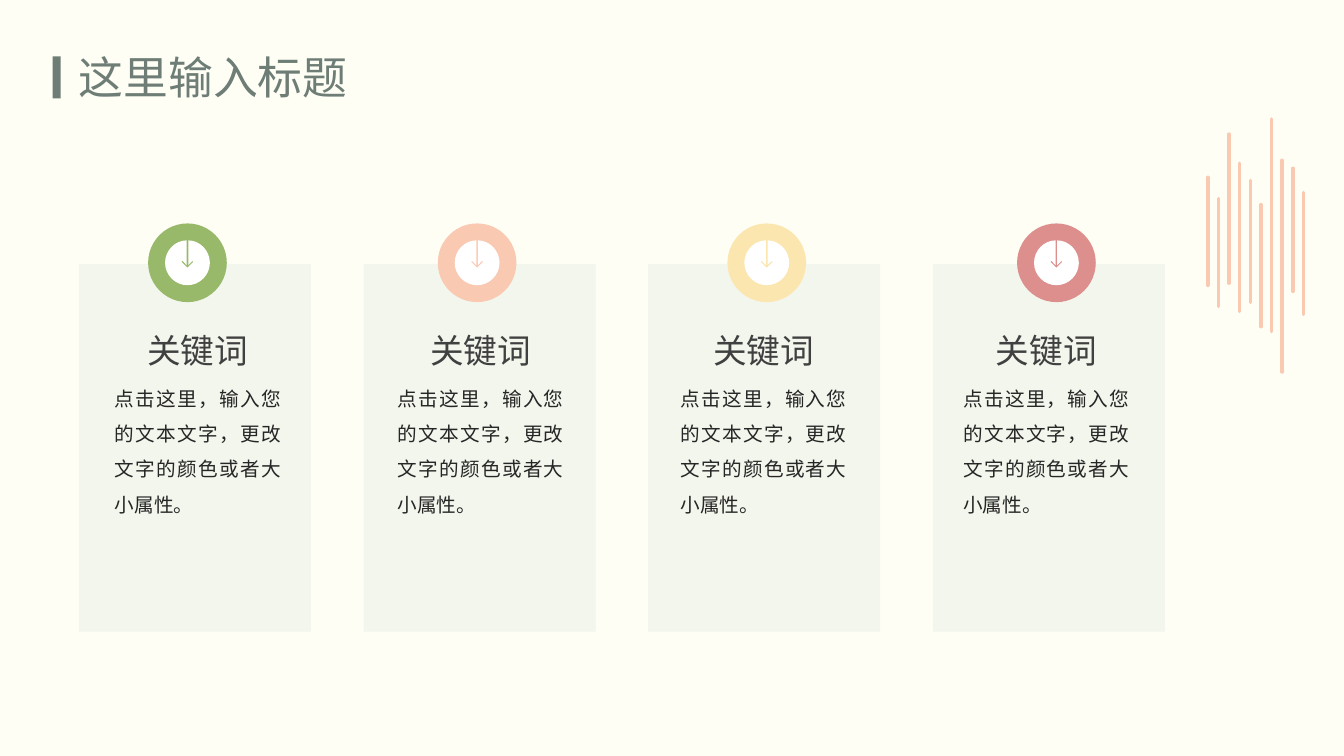
from pptx import Presentation
from pptx.dml.color import RGBColor
from pptx.enum.shapes import MSO_CONNECTOR, MSO_SHAPE
from pptx.enum.text import MSO_ANCHOR, MSO_AUTO_SIZE, PP_ALIGN
from pptx.oxml.ns import qn
from pptx.util import Pt
from lxml import etree

RECTANGLE = MSO_SHAPE.RECTANGLE
OVAL = MSO_SHAPE.OVAL
STRAIGHT = MSO_CONNECTOR.STRAIGHT
TOP = MSO_ANCHOR.TOP
CENTER = PP_ALIGN.CENTER
JUSTIFY = PP_ALIGN.JUSTIFY
NO_AUTOFIT = MSO_AUTO_SIZE.NONE

COLORS = {
    "background": "FEFEF5", "title": "6E7D75", "card": "C8D7D0",
    "heading": "404040", "body": "262626", "wave": "F9C9B2", "white": "FFFFFF",
    "green": "98B86A", "peach": "F9C9B2", "yellow": "FCE6AF", "rose": "DD8F8D",
}
BADGES = ["green", "peach", "yellow", "rose"]
HEADING = "关键词"
BODY = "点击这里，输入您的文本文字，更改文字的颜色或者大小属性。"
WAVES = [(126.7, 203.8), (141.8, 218.9), (95.8, 202.3), (116.6, 222.5),
         (128.9, 216), (146.2, 233.3), (85, 236.9), (114.5, 265.7),
         (120.2, 208.1), (137.5, 224.6)]
WAVE_LEFT, WAVE_STEP = 862.7, 7.6
CARD_LEFT, CARD_STEP = 56.4, 203.33
BADGE_LEFT, BADGE_STEP = 105.8, 206.9
TEXT_LEFT, TEXT_STEP = 82, 202.05
TEXT_WIDTH = 118.6
BADGE_TOP, BADGE_SIZE = 159.6, 56.2
DISC_RADIUS = 16
ARC_HANDLE = 0.55 * DISC_RADIUS
ARROW_HALF = [(0.6, 1.7), (3.6, -1.4), (4.3, -0.7)]
ARROW_TIP = (0, 3.6)


def color(name):
    return RGBColor.from_string(COLORS[name])


def paint(shape, fill):
    shape.shadow.inherit = False
    shape.fill.solid()
    shape.fill.fore_color.rgb = color(fill)
    shape.line.fill.background()


def add_block(page, kind, area, fill, opacity=100):
    shape = page.shapes.add_shape(kind, *map(Pt, area))
    paint(shape, fill)
    if opacity < 100:
        tint = shape.element.spPr.find(qn("a:solidFill"))[0]
        etree.SubElement(tint, qn("a:alpha")).set("val", str(opacity * 1000))


def add_wave(page, x, top, bottom):
    wave = page.shapes.add_connector(STRAIGHT, Pt(x), Pt(top), Pt(x), Pt(bottom))
    wave.line.color.rgb = color("wave")
    wave.line.width = Pt(2.5)
    properties = wave.element.spPr
    properties.find(qn("a:ln")).set("cap", "rnd")
    etree.SubElement(properties, qn("a:effectLst"))


def bend(segment, handles):
    segment.tag = qn("a:cubicBezTo")
    for place, (x, y) in enumerate(handles):
        point = etree.Element(qn("a:pt"))
        point.set("x", str(Pt(DISC_RADIUS + x)))
        point.set("y", str(Pt(DISC_RADIUS + y)))
        segment.insert(place, point)


def add_arrow_disc(page, center_x, center_y):
    radius, handle, gap = DISC_RADIUS, ARC_HANDLE, ARROW_HALF[0][0]
    mirrored = [(-x, y) for x, y in ARROW_HALF]
    outline = [(radius, 0), (0, radius), (-radius, 0), (-gap, -radius), *mirrored,
               ARROW_TIP, *ARROW_HALF[::-1], (gap, -radius), (radius, 0)]
    points = [(Pt(center_x + x), Pt(center_y + y)) for x, y in outline]
    builder = page.shapes.build_freeform(*points[0])
    builder.add_line_segments(points[1:], close=True)
    disc = builder.convert_to_shape()
    paint(disc, "white")
    segments = list(disc.element.spPr.iter(qn("a:lnTo")))
    arcs = {
        0: [(radius, handle), (handle, radius)],
        1: [(-handle, radius), (-radius, handle)],
        2: [(-radius, -handle), (-handle, -radius)],
        len(outline) - 2: [(handle, -radius), (radius, -handle)],
    }
    for place, handles in arcs.items():
        bend(segments[place], handles)


def write_text(box, area, text, font, size, tint, align, spacing=None):
    box.left, box.top, box.width, box.height = map(Pt, area)
    frame = box.text_frame
    settings = {"word_wrap": True, "auto_size": NO_AUTOFIT, "vertical_anchor": TOP,
                "margin_left": 0, "margin_top": 0, "margin_right": 0, "margin_bottom": 0}
    for name, value in settings.items():
        setattr(frame, name, value)
    para = frame.paragraphs[0]
    para.alignment = align
    if spacing:
        para.line_spacing = spacing
    span = para.add_run()
    span.text = text
    for name, value in {"size": Pt(size), "name": font}.items():
        setattr(span.font, name, value)
    span.font.color.rgb = color(tint)
    latin = next(para._p.iter(qn("a:latin")))
    east_asian = etree.Element(qn("a:ea"))
    east_asian.set("typeface", font)
    latin.addnext(east_asian)


def add_text(page, area, *style):
    write_text(page.shapes.add_textbox(0, 0, 0, 0), area, *style)


def add_card(page, index, badge):
    add_block(page, RECTANGLE, (CARD_LEFT + index * CARD_STEP, 188.6, 165.7, 262.6),
              "card", 20)
    left = BADGE_LEFT + index * BADGE_STEP
    add_block(page, OVAL, (left, BADGE_TOP, BADGE_SIZE, BADGE_SIZE), badge)
    add_arrow_disc(page, left + BADGE_SIZE / 2, BADGE_TOP + BADGE_SIZE / 2)
    text_left = TEXT_LEFT + index * TEXT_STEP
    add_text(page, (text_left, 267.9, TEXT_WIDTH, 99.4), BODY, "Cabin", 14, "body",
             JUSTIFY, 1.5)
    add_text(page, (text_left, 235.8, TEXT_WIDTH, 28.8), HEADING, "Lato", 24, "heading",
             CENTER)


def main():
    deck = Presentation()
    deck.slide_width, deck.slide_height = Pt(960), Pt(540)
    page = deck.slides.add_slide(deck.slide_layouts[5])
    page.background.fill.solid()
    page.background.fill.fore_color.rgb = color("background")
    write_text(page.shapes.title, (56.2, 35.4, 363.6, 38.9), "这里输入标题",
               "Noto Sans CJK JP", 32, "title", JUSTIFY)
    add_block(page, RECTANGLE, (37.6, 40.2, 5.8, 30.2), "title")
    for index, (top, bottom) in enumerate(WAVES):
        add_wave(page, WAVE_LEFT + index * WAVE_STEP, top, bottom)
    for index, badge in enumerate(BADGES):
        add_card(page, index, badge)
    deck.save("out.pptx")


if __name__ == "__main__":
    main()
